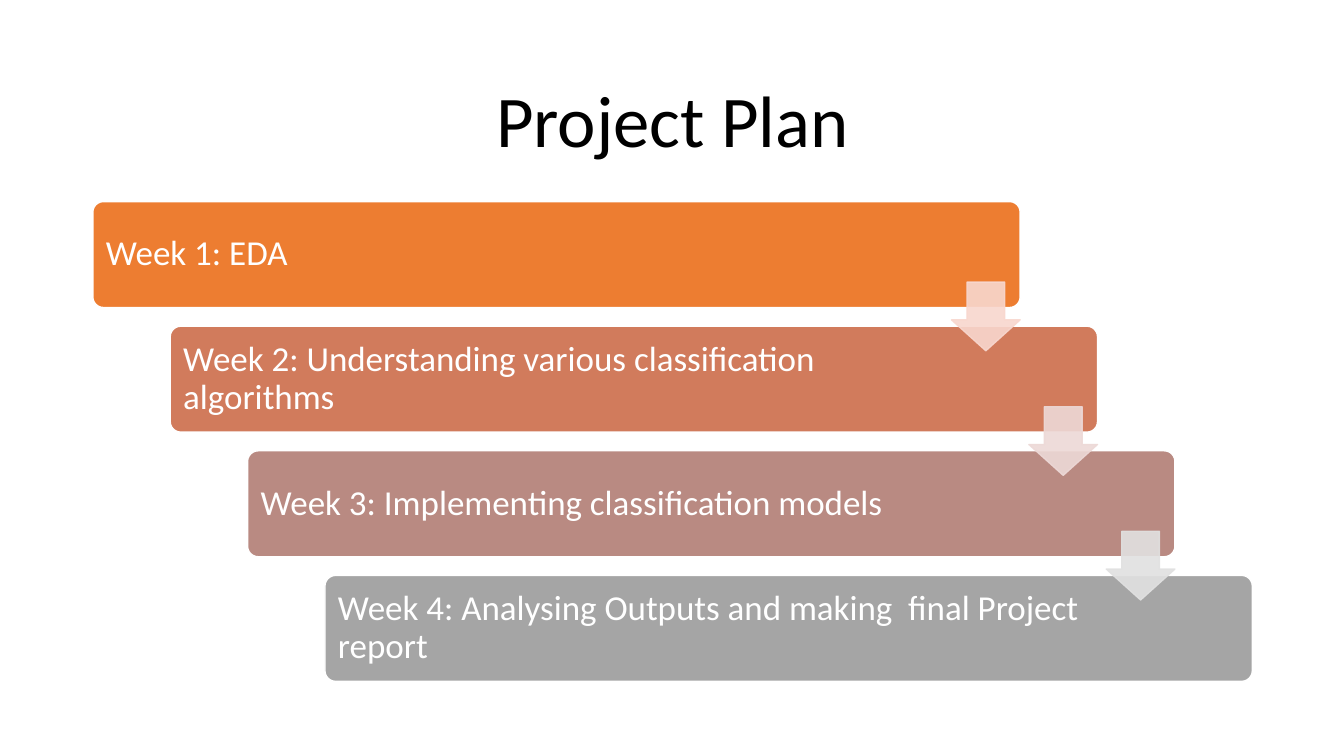
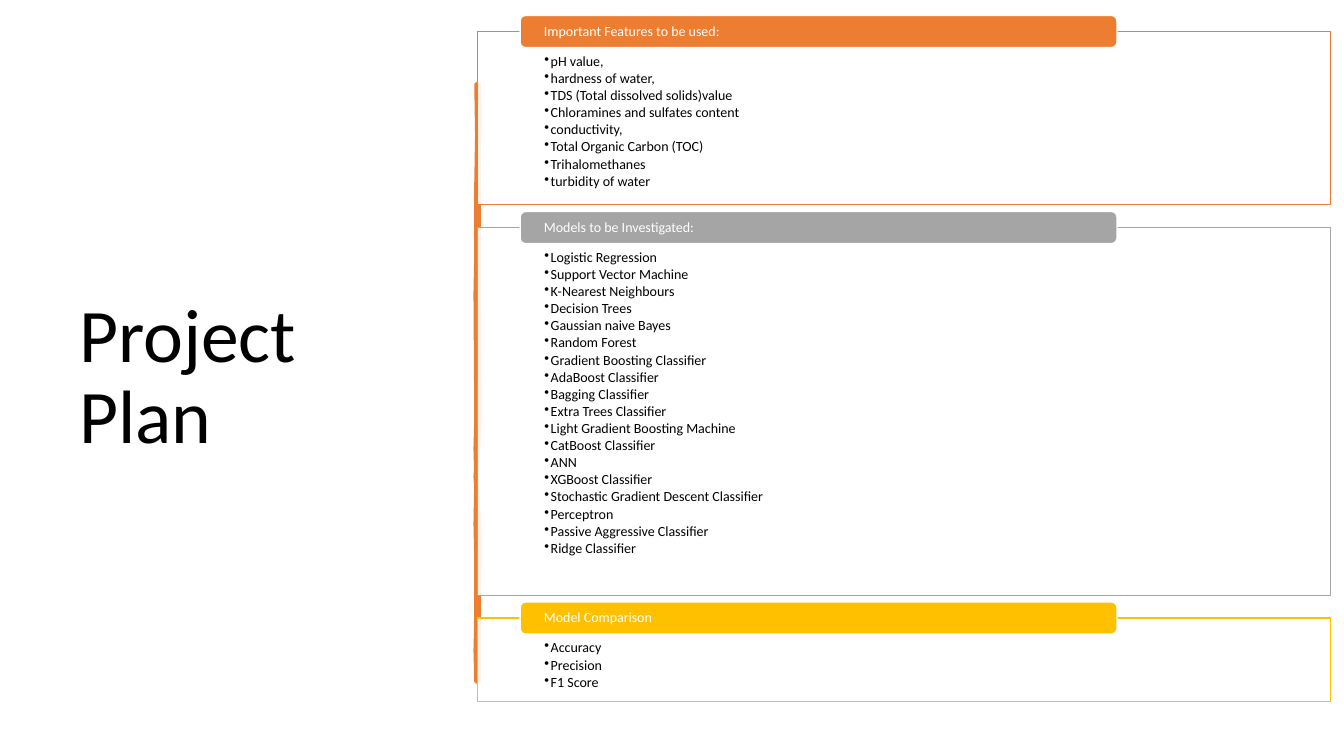
from dataclasses import dataclass

from lxml.etree import SubElement
from pptx import Presentation
from pptx.dml.color import RGBColor
from pptx.enum.shapes import MSO_SHAPE
from pptx.enum.text import MSO_ANCHOR, MSO_AUTO_SIZE, PP_ALIGN
from pptx.oxml.ns import qn
from pptx.util import Cm, Pt


@dataclass(frozen=True)
class Theme:
    font: str = "Calibri"
    black: str = "000000"
    white: str = "FFFFFF"
    orange: str = "ED7D31"
    grey: str = "A5A5A5"
    gold: str = "FFC000"
    week_fills: tuple = ("ED7D31", "D17B5C", "B98A82", "A5A5A5")
    arrow_fills: tuple = ("F8D7CE", "EDD9D7", "E1E1E1")
    title: int = 52
    side_title: int = 54
    week: int = 25
    small: int = 10
    line: float = 1
    brush_line: float = 3.25
    line_spacing: float = 0.9
    bullet_gap: float = 1.4
    opacity: int = 90


class Deck:
    def __init__(self, theme):
        self.theme = theme
        self.prs = Presentation()
        self.prs.slide_width, self.prs.slide_height = Cm(33.87), Cm(19.05)
        self.slide = None

    def add_slide(self, title, box, size, align=PP_ALIGN.LEFT):
        self.slide = self.prs.slides.add_slide(self.prs.slide_layouts[5])
        sp = self.slide.shapes.title
        sp.left, sp.top, sp.width, sp.height = (Cm(v) for v in box)
        tf = self.frame(sp, (0.25, 0.13, 0.25, 0.13))
        self.add_text(tf.paragraphs[0], title, size, self.theme.black, align)

    def frame(self, sp, insets, anchor=MSO_ANCHOR.MIDDLE):
        tf = sp.text_frame
        tf.word_wrap = True
        tf.auto_size = MSO_AUTO_SIZE.NONE
        tf.vertical_anchor = anchor
        tf.margin_left, tf.margin_top, tf.margin_right, tf.margin_bottom = (
            Cm(v) for v in insets)
        return tf

    def add_text(self, p, text, size, color, align=PP_ALIGN.LEFT):
        p.alignment = align
        p.line_spacing = self.theme.line_spacing
        r = p.add_run()
        r.text = text
        r.font.name = self.theme.font
        r.font.size = Pt(size)
        r.font.color.rgb = RGBColor.from_string(color)

    def paint(self, sp, fill, line, width):
        sp.shadow.inherit = False
        sp.fill.solid()
        sp.fill.fore_color.rgb = RGBColor.from_string(fill)
        sp.line.color.rgb = RGBColor.from_string(line)
        sp.line.width = Pt(width)

    def shape(self, kind, box, fill, line, adjustments=()):
        sp = self.slide.shapes.add_shape(kind, *(Cm(v) for v in box))
        self.paint(sp, fill, line, self.theme.line)
        for i, value in enumerate(adjustments):
            sp.adjustments[i] = value
        return sp

    def fade(self, parent):
        """Make the colours below an XML element slightly transparent."""
        for clr in parent.iter(qn("a:srgbClr")):
            SubElement(clr, qn("a:alpha")).set("val", str(self.theme.opacity * 1000))

    def bar(self, box, text, fill, size, insets, adjustments=()):
        sp = self.shape(MSO_SHAPE.ROUNDED_RECTANGLE, box, fill,
                        self.theme.white, adjustments)
        self.add_text(self.frame(sp, insets).paragraphs[0], text, size,
                      self.theme.white)

    def arrow(self, box, fill):
        sp = self.shape(MSO_SHAPE.DOWN_ARROW, box, fill, fill, (0.55, 0.45))
        self.fade(sp.element.spPr)

    def bullet_panel(self, box, items, line):
        t = self.theme
        sp = self.shape(MSO_SHAPE.RECTANGLE, box, t.white, line)
        self.fade(sp.element.spPr.find(qn("a:solidFill")))
        tf = self.frame(sp, (1.68, 0.58, 1.68, 0.2), MSO_ANCHOR.TOP)
        for i, item in enumerate(items):
            p = tf.add_paragraph() if i else tf.paragraphs[0]
            self.add_text(p, item, t.small, t.black)
            p.space_after = Pt(t.bullet_gap)
            pPr = p._p.get_or_add_pPr()
            pPr.set("marL", str(Cm(0.16)))
            pPr.set("indent", str(-Cm(0.16)))
            SubElement(pPr, qn("a:buChar")).set("char", "•")

    def brush_stroke(self, points):
        start, *rest = [(Cm(x), Cm(y)) for x, y in points]
        builder = self.slide.shapes.build_freeform(*start)
        builder.add_line_segments(rest, close=True)
        sp = builder.convert_to_shape()
        self.paint(sp, self.theme.orange, self.theme.orange, self.theme.brush_line)


WEEKS = (
    ("Week 1: EDA", 3.2),
    ("Week 2: Understanding various classification algorithms", 3.94),
    ("Week 3: Implementing classification models", 3.94),
    ("Week 4: Analysing Outputs and making  final Project report", 3.94),
)

FEATURES = (
    "pH value,", "hardness of water,", "TDS (Total dissolved solids)value",
    "Chloramines and sulfates content", "conductivity,",
    "Total Organic Carbon (TOC)", "Trihalomethanes", "turbidity of water",
)
MODELS = (
    "Logistic Regression", "Support Vector Machine", "K-Nearest Neighbours",
    "Decision Trees", "Gaussian naive Bayes", "Random Forest",
    "Gradient Boosting Classifier", "AdaBoost Classifier", "Bagging Classifier",
    "Extra Trees Classifier", "Light Gradient Boosting Machine",
    "CatBoost Classifier", "ANN", "XGBoost Classifier",
    "Stochastic Gradient Descent Classifier", "Perceptron",
    "Passive Aggressive Classifier", "Ridge Classifier",
)
METRICS = ("Accuracy", "Precision", "F1 Score")

BRUSH_POINTS = (
    (12.06, 2.13), (12.1, 2.92), (12.06, 3.71), (12.06, 7.47), (12.08, 9.04),
    (12.09, 10.5), (12.06, 11.07), (11.99, 12.01), (12.06, 12.95),
    (12.1, 13.9), (12.06, 14.83), (12.06, 17.17), (12.01, 17.17),
    (11.99, 16.4), (12.01, 15.57), (12.01, 14.15), (11.99, 13.2),
    (12.01, 12.12), (11.99, 11.3), (12.01, 10.54), (11.99, 7.4),
    (12.01, 6.35), (12.01, 4.6), (12.03, 3.4), (12.01, 2.13),
)


def weekly_plan(deck):
    t = deck.theme
    deck.add_slide("Project Plan", (2.34, 1.55, 29.21, 3.15), t.title, PP_ALIGN.CENTER)
    left, top, width, height = 2.34, 5.08, 23.37, 2.67
    step_x, step_y, arrow = 1.95, 3.14, 1.73
    for i, ((text, right_inset), fill) in enumerate(zip(WEEKS, t.week_fills)):
        box = (left + i * step_x, top + i * step_y, width, height)
        deck.bar(box, text, fill, t.week, (0.25, 0.25, right_inset, 0.25), (0.1,))
    for i, fill in enumerate(t.arrow_fills):
        deck.arrow((left + width - arrow + i * step_x, top + 2.03 + i * step_y,
                    arrow, arrow), fill)


def work_items(deck):
    t = deck.theme
    deck.add_slide("Project Plan", (1.75, 1.78, 9.5, 15.52), t.side_title)
    deck.brush_stroke(BRUSH_POINTS)
    left, top, gap = 12.04, 0.79, 0.57
    for heading, items, color, height in (
        ("Important Features to be used:", FEATURES, t.orange, 4.37),
        ("Models to be Investigated:", MODELS, t.grey, 9.27),
        ("Model Comparison", METRICS, t.gold, 2.11),
    ):
        deck.bullet_panel((left, top, 21.49, height), items, color)
        deck.bar((left + 1.07, top - 0.4, 15.04, 0.81), heading, color, t.small,
                 (0.56, 0, 0.56, 0))
        top += height + gap


def main():
    deck = Deck(Theme())
    weekly_plan(deck)
    work_items(deck)
    deck.prs.save("out.pptx")


if __name__ == "__main__":
    main()
